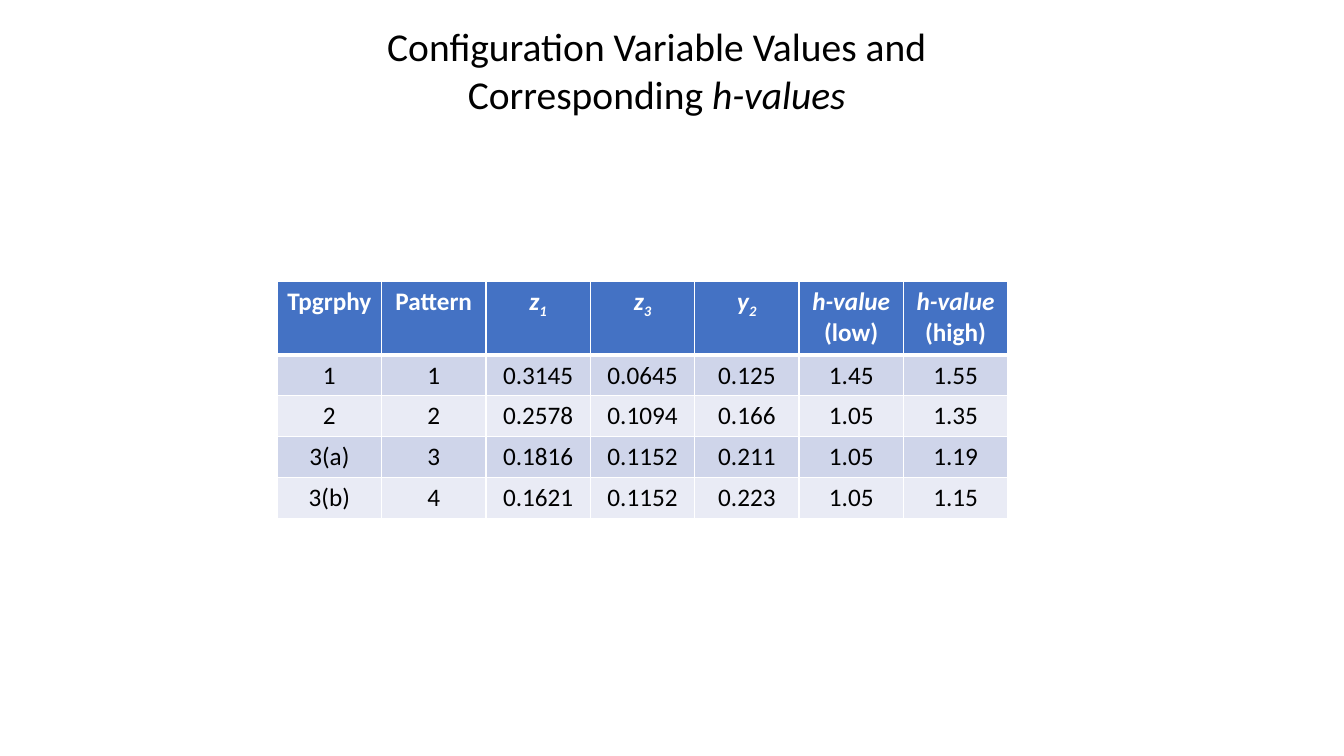
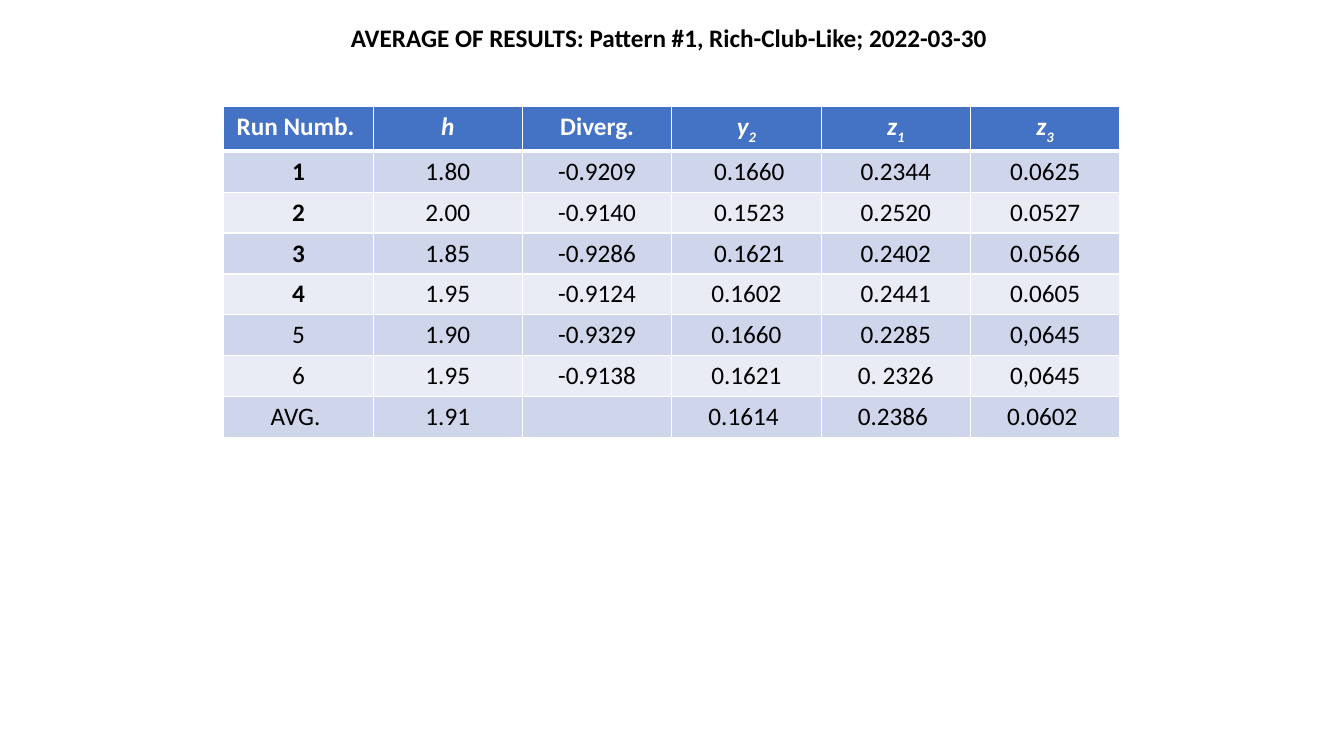
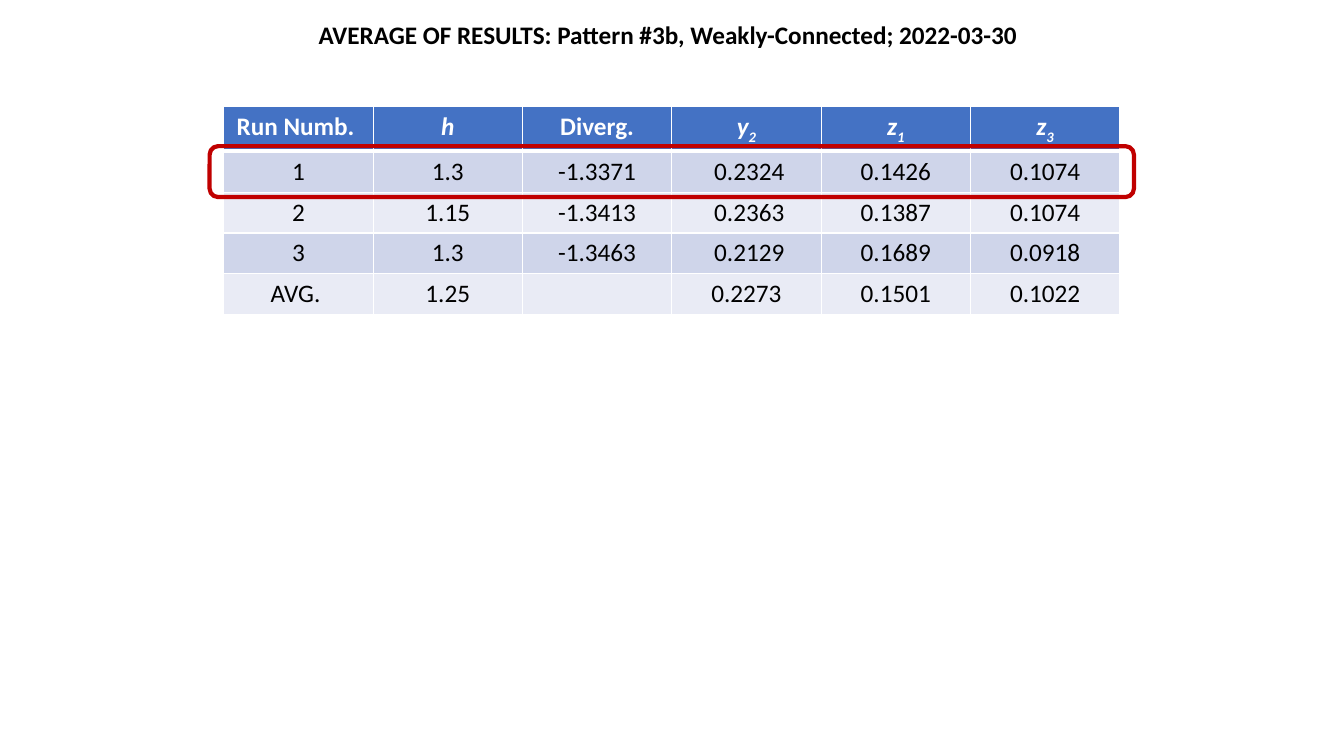
import pptx
import pptx.dml.color
import pptx.enum.shapes
import pptx.enum.text
import pptx.oxml
import pptx.oxml.ns
import pptx.util

COLORS = {
    "white": "FFFFFF",
    "black": "000000",
    "header": "4472C4",
    "odd_row": "CFD5EA",
    "even_row": "E9EBF5",
    "highlight": "C00000",
}
FONT = "Calibri"
BODY_SIZE = 18
COLUMNS, ROWS = 160, 90
UNIT = pptx.util.Inches(1 / 12)
TITLE_ONLY = 5
ALIGN = pptx.enum.text.PP_ALIGN

RESULTS_LEFT, RESULTS_TOP, RESULTS_WIDTH = 26.64, 12.72, 106.68
RESULTS_HEADER = 5.28


def grid(*lengths):
    """Turn grid columns or rows into slide lengths."""
    return [round(length * UNIT) for length in lengths]


def rgb(name):
    return pptx.dml.color.RGBColor.from_string(COLORS[name])


def write(para, text, size=BODY_SIZE, color="black", bold=False, italic=False, subscript=False):
    span = para.add_run()
    span.text = text
    font = span.font
    font.name, font.size = FONT, pptx.util.Pt(size)
    font.bold, font.italic = bold, italic
    font.color.rgb = rgb(color)
    if subscript:
        span._r.get_or_add_rPr().set("baseline", "-25000")


def variable(letter, index):
    """Spans of an italic variable with a subscript."""
    return [(letter, {"italic": True}), (index, {"italic": True, "subscript": True})]


def h_value(level):
    return [("h-value", {"italic": True}), (f" ({level})", {})]


def add_title(slide, box, spans, align=ALIGN.LEFT, wrap=False, **style):
    title = slide.shapes.title
    title.left, title.top, title.width, title.height = grid(*box)
    frame = title.text_frame
    frame.word_wrap = wrap
    frame.auto_size = pptx.enum.text.MSO_AUTO_SIZE.SHAPE_TO_FIT_TEXT
    frame.vertical_anchor = pptx.enum.text.MSO_ANCHOR.TOP
    para = frame.paragraphs[0]
    para.alignment = align
    for text, changes in spans:
        write(para, text, **{**style, **changes})


def set_borders(cell, top=1, bottom=1):
    widths = {"L": 1, "R": 1, "T": top, "B": bottom}
    for side, width in widths.items():
        cell._tc.get_or_add_tcPr().append(pptx.oxml.parse_xml(
            f'<a:ln{side} {pptx.oxml.ns.nsdecls("a")} w="{pptx.util.Pt(width)}">'
            f'<a:solidFill><a:srgbClr val="{COLORS["white"]}"/></a:solidFill></a:ln{side}>'))


def fill_cell(cell, spans, fill, top=1, bottom=1, **style):
    set_borders(cell, top, bottom)
    cell.fill.solid()
    cell.fill.fore_color.rgb = rgb(fill)
    para = cell.text_frame.paragraphs[0]
    para.alignment = ALIGN.CENTER
    for text, changes in spans:
        write(para, text, **{**style, **changes})


def add_value_table(slide, box, header_height, headers, records, bold_labels=0):
    """Table with a header row; the first bold_labels row labels are bold."""
    shape = slide.shapes.add_table(len(records) + 1, len(headers), *grid(*box))
    table = shape.table
    table.horz_banding = False
    row_height = (box[3] - header_height) / len(records)
    for index, row in enumerate(table.rows):
        row.height, = grid(row_height if index else header_height)
    for column, spans in enumerate(headers):
        fill_cell(table.cell(0, column), spans, "header", bottom=3, color="white", bold=True)
    for row, values in enumerate(records, 1):
        for column, value in enumerate(values):
            fill_cell(table.cell(row, column), [(value, {})] if value else [],
                      "odd_row" if row % 2 else "even_row",
                      top=3 if row == 1 else 1,
                      bold=column == 0 and row <= bold_labels)


def add_highlight(slide, box, margin_x=1.68, margin_y=0.6):
    """Rounded outline around a table row."""
    left, top, width, height = box
    outline = slide.shapes.add_shape(
        pptx.enum.shapes.MSO_SHAPE.ROUNDED_RECTANGLE,
        *grid(left - margin_x, top - margin_y, width + 2 * margin_x, height + 2 * margin_y))
    outline.shadow.inherit = False
    outline.fill.background()
    outline.line.color.rgb = rgb("highlight")
    outline.line.width = pptx.util.Pt(3)


def new_slide(deck):
    return deck.slides.add_slide(deck.slide_layouts[TITLE_ONLY])


def add_configuration_slide(deck):
    slide = new_slide(deck)
    add_title(slide, (34.68, 2.04, 87, 12.6),
              [("Configuration Variable Values and Corresponding ", {}),
               ("h-values", {"italic": True})],
              align=ALIGN.CENTER, wrap=True, size=28.2)
    headers = [[("Tpgrphy", {})], [("Pattern", {})], variable("z", "1"), variable("z", "3"),
               variable("y", "2"), h_value("low"), h_value("high")]
    records = [
        ("1", "1", "0.3145", "0.0645", "0.125", "1.45", "1.55"),
        ("2", "2", "0.2578", "0.1094", "0.166", "1.05", "1.35"),
        ("3(a)", "3", "0.1816", "0.1152", "0.211", "1.05", "1.19"),
        ("3(b)", "4", "0.1621", "0.1152", "0.223", "1.05", "1.15"),
    ]
    add_value_table(slide, (33, 33.5, 87, 28.2), 8.76, headers, records)


def add_results_slide(deck, title, title_box, height, records, bold_labels=0, highlighted=None):
    """Slide of averaged runs; highlighted is the number of the outlined row."""
    slide = new_slide(deck)
    add_title(slide, title_box, [(f"AVERAGE OF RESULTS: {title}; 2022-03-30", {})], bold=True)
    headers = [[("Run Numb. ", {})], [("h", {"italic": True})], [("Diverg.", {})],
               variable("y", "2"), variable("z", "1"), variable("z", "3")]
    add_value_table(slide, (RESULTS_LEFT, RESULTS_TOP, RESULTS_WIDTH, height),
                    RESULTS_HEADER, headers, records, bold_labels)
    if highlighted:
        row_height = (height - RESULTS_HEADER) / len(records)
        row_top = RESULTS_TOP + RESULTS_HEADER + (highlighted - 1) * row_height
        add_highlight(slide, (RESULTS_LEFT, row_top, RESULTS_WIDTH, row_height))


def main():
    deck = pptx.Presentation()
    deck.slide_width, deck.slide_height = grid(COLUMNS, ROWS)
    add_configuration_slide(deck)
    add_results_slide(
        deck, "Pattern #1, Rich-Club-Like", (40.56, 2.04, 78.96, 4.8), 39.36,
        [
            ("1", "1.80", "-0.9209", " 0.1660", "0.2344", "0.0625"),
            ("2", "2.00", "-0.9140", " 0.1523", "0.2520", "0.0527"),
            ("3", "1.85", "-0.9286", " 0.1621", "0.2402", "0.0566"),
            ("4", "1.95", "-0.9124", "0.1602", "0.2441", "0.0605"),
            ("5", "1.90", "-0.9329", "0.1660", "0.2285", "0,0645"),
            ("6", "1.95", "-0.9138", "0.1621", "0. 2326", "0,0645"),
            ("AVG. ", "1.91", "", "0.1614 ", "0.2386 ", "0.0602 "),
        ], bold_labels=4)
    add_results_slide(
        deck, "Pattern #3b, Weakly-Connected", (36.72, 1.68, 86.52, 4.8), 24.72,
        [
            ("1", "1.3", "-1.3371", " 0.2324", "0.1426", "0.1074"),
            ("2", "1.15", "-1.3413", " 0.2363", "0.1387", "0.1074"),
            ("3", "1.3", "-1.3463", " 0.2129", "0.1689", "0.0918"),
            ("AVG. ", "1.25", "", "0.2273", "0.1501", "0.1022"),
        ], highlighted=1)
    deck.save("out.pptx")


if __name__ == "__main__":
    main()
